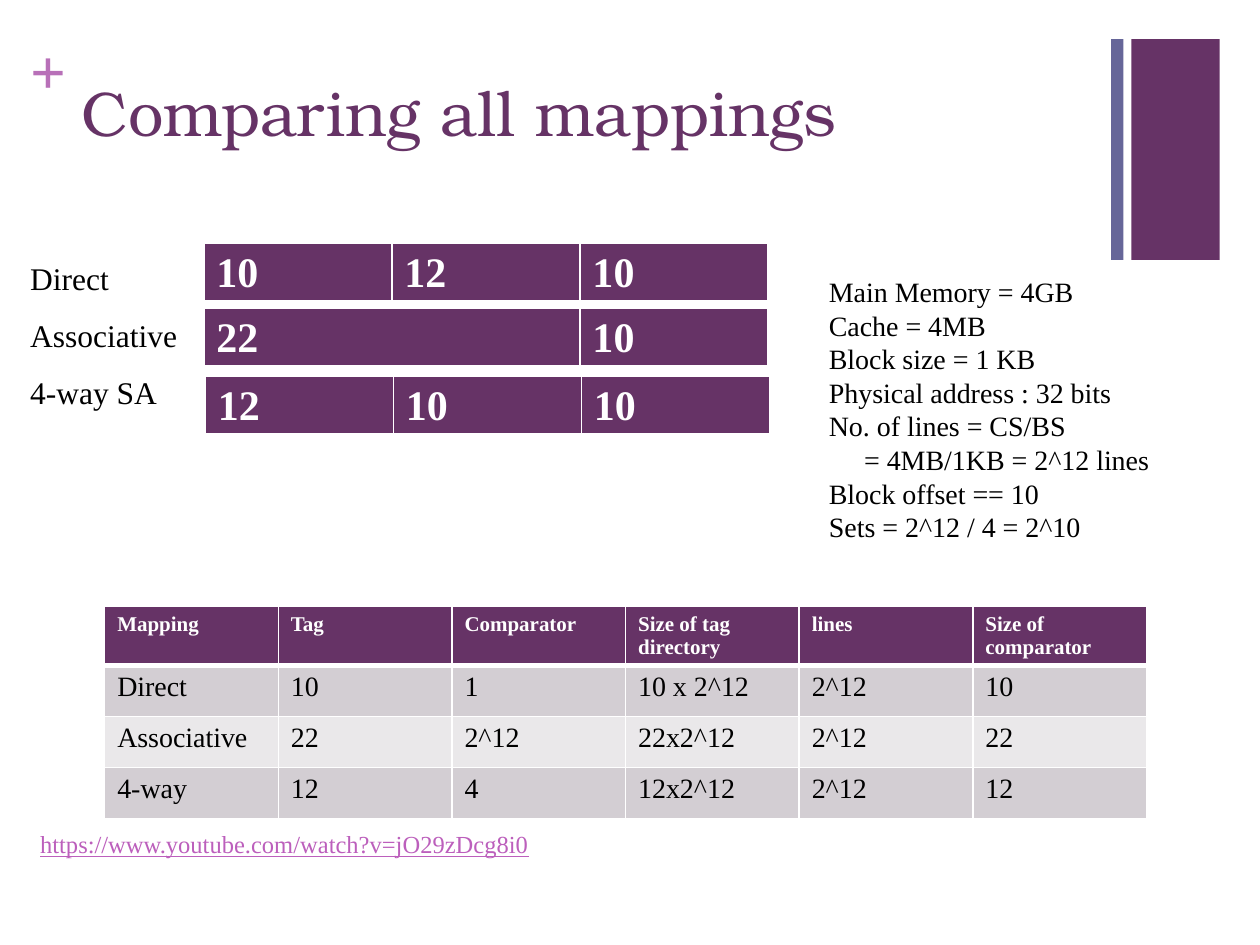
from dataclasses import dataclass
from typing import Optional

from lxml.etree import SubElement
from pptx import Presentation
from pptx.dml.color import RGBColor
from pptx.enum.shapes import MSO_SHAPE
from pptx.enum.text import MSO_ANCHOR, MSO_AUTO_SIZE
from pptx.oxml.ns import qn
from pptx.util import Cm, Pt

PLUM = RGBColor(0x66, 0x33, 0x66)
SLATE = RGBColor(0x66, 0x66, 0x99)
ORCHID = RGBColor(0xB8, 0x70, 0xB8)
LINK = RGBColor(0xBC, 0x5F, 0xBC)
DARK_BAND = RGBColor(0xD3, 0xCE, 0xD3)
LIGHT_BAND = RGBColor(0xEA, 0xE8, 0xEA)
WHITE = RGBColor(0xFF, 0xFF, 0xFF)
BLACK = RGBColor(0, 0, 0)
SERIF = "Times New Roman"


@dataclass
class Bar:
    left: float
    width: float
    color: RGBColor


@dataclass
class TextBlock:
    left: float
    top: float
    width: float
    height: float
    lines: list
    format: dict
    color: RGBColor = BLACK
    wrap: bool = True
    grow: bool = True
    inset: bool = True
    spacing: Optional[float] = None
    indented: tuple = ()


@dataclass
class Grid:
    left: float
    top: float
    columns: list
    row_heights: list
    rows: list
    header_size: int


BARS = [Bar(22.81, 1.78, PLUM), Bar(22.4, 0.25, SLATE)]

TEXTS = [
    TextBlock(0.61, 0.64, 0.74, 1.55, ["+"],
              {"name": SERIF, "size": Pt(36), "bold": True}, ORCHID, inset=False),
    TextBlock(1.4, 1.35, 20.98, 3.1, ["Comparing all mappings"],
              {"name": "TeX Gyre Bonum", "size": Pt(36)}, PLUM, grow=False),
    TextBlock(0.56, 16.59, 12.7, 0.86,
              ["https://www.youtube.com/watch?v=jO29zDcg8i0"],
              {"name": SERIF, "size": Pt(14), "underline": True}, LINK),
    TextBlock(16.46, 5.41, 7.04, 5.74,
              ["Main Memory = 4GB", "Cache = 4MB", "Block size = 1 KB",
               "Physical address : 32 bits", "No. of lines = CS/BS",
               "= 4MB/1KB = 2^12 lines", "Block offset == 10",
               "Sets = 2^12 / 4 = 2^10"],
              {"name": SERIF, "size": Pt(16)}, wrap=False, indented=(5,)),
    TextBlock(0.36, 4.72, 3.51, 3.71, ["Direct", "Associative", "4-way SA"],
              {"name": SERIF, "size": Pt(18)}, wrap=False, spacing=1.5),
]

FIELD = 3.79  # width of one address field
GRIDS = [
    Grid(2.11, 12.22, [3.5] * 6, [1.17] + [1.03] * 3, [
        ["Mapping", "Tag", "Comparator", "Size of tag directory", "lines",
         "Size of comparator"],
        ["Direct", "10", "1", "10 x 2^12", "2^12", "10"],
        ["Associative", "22", "2^12", "22x2^12", "2^12", "22"],
        ["4-way", "12", "4", "12x2^12", "2^12", "12"],
    ], 12),
    Grid(4.11, 4.91, [FIELD] * 3, [1.02], [["10", "12", "10"]], 24),
    Grid(4.11, 6.22, [2 * FIELD, FIELD], [1.02], [["22", "10"]], 24),
    Grid(4.14, 7.59, [FIELD] * 3, [1.02], [["12", "10", "10"]], 24),
]


def apply_format(font, format_values: dict, color: RGBColor) -> None:
    for name, value in format_values.items():
        setattr(font, name, value)
    font.color.rgb = color


def draw_bar(page, bar: Bar) -> None:
    shape = page.shapes.add_shape(MSO_SHAPE.RECTANGLE, Cm(bar.left), Cm(0.79),
                                  Cm(bar.width), Cm(4.45))
    shape.shadow.inherit = False
    shape.fill.solid()
    shape.fill.fore_color.rgb = bar.color
    shape.line.fill.background()


def draw_text(page, block: TextBlock) -> None:
    box = page.shapes.add_textbox(Cm(block.left), Cm(block.top),
                                  Cm(block.width), Cm(block.height))
    frame = box.text_frame
    frame.word_wrap = block.wrap
    frame.vertical_anchor = MSO_ANCHOR.TOP
    frame.auto_size = (MSO_AUTO_SIZE.SHAPE_TO_FIT_TEXT if block.grow
                       else MSO_AUTO_SIZE.NONE)
    if not block.inset:
        for side in ("left", "top", "right", "bottom"):
            setattr(frame, f"margin_{side}", Cm(0))
    for index, line in enumerate(block.lines):
        para = frame.add_paragraph() if index else frame.paragraphs[0]
        if block.spacing:
            para.line_spacing = block.spacing
        if index in block.indented:
            para._p.get_or_add_pPr().set("marL", str(Cm(0.71)))
        span = para.add_run()
        span.text = line
        apply_format(span.font, block.format, block.color)


def set_borders(cell, top: float, bottom: float) -> None:
    properties = cell._tc.get_or_add_tcPr()
    for tag, width in (("lnL", 1), ("lnR", 1), ("lnT", top), ("lnB", bottom)):
        line = SubElement(properties, qn(f"a:{tag}"), w=str(Pt(width)))
        fill = SubElement(line, qn("a:solidFill"))
        SubElement(fill, qn("a:srgbClr"), val=str(WHITE))


def draw_grid(page, grid: Grid) -> None:
    frame = page.shapes.add_table(
        len(grid.rows), len(grid.columns), Cm(grid.left), Cm(grid.top),
        Cm(sum(grid.columns)), Cm(sum(grid.row_heights)))
    table = frame.table
    for column, width in zip(table.columns, grid.columns):
        column.width = Cm(width)
    for row_index, values in enumerate(grid.rows):
        table.rows[row_index].height = Cm(grid.row_heights[row_index])
        header = row_index == 0
        band = DARK_BAND if row_index % 2 else LIGHT_BAND
        format_values = {"name": SERIF, "bold": header,
                         "size": Pt(grid.header_size if header else 16)}
        for column_index, value in enumerate(values):
            cell = table.cell(row_index, column_index)
            # Borders come before the fill in the cell properties
            set_borders(cell, 3 if row_index == 1 else 1, 3 if header else 1)
            cell.fill.solid()
            cell.fill.fore_color.rgb = PLUM if header else band
            span = cell.text_frame.paragraphs[0].add_run()
            span.text = value
            apply_format(span.font, format_values, WHITE if header else BLACK)


def main() -> None:
    deck = Presentation()
    deck.slide_width, deck.slide_height = Cm(25.4), Cm(19.05)
    page = deck.slides.add_slide(deck.slide_layouts[6])

    # Corner decoration
    for bar in BARS:
        draw_bar(page, bar)
    # Comparison table and address layouts
    for grid in GRIDS:
        draw_grid(page, grid)
    # Title, labels, calculation and web address
    for block in TEXTS:
        draw_text(page, block)

    deck.save("out.pptx")


if __name__ == "__main__":
    main()
